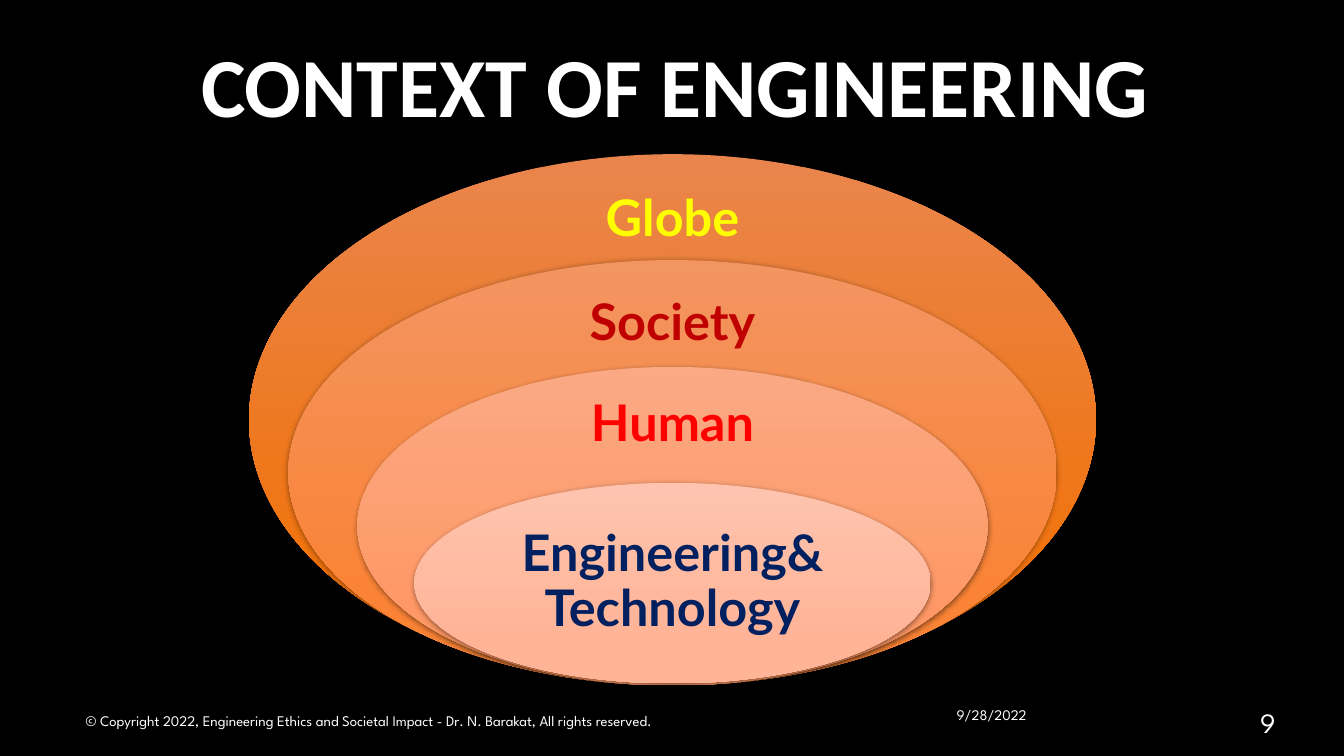
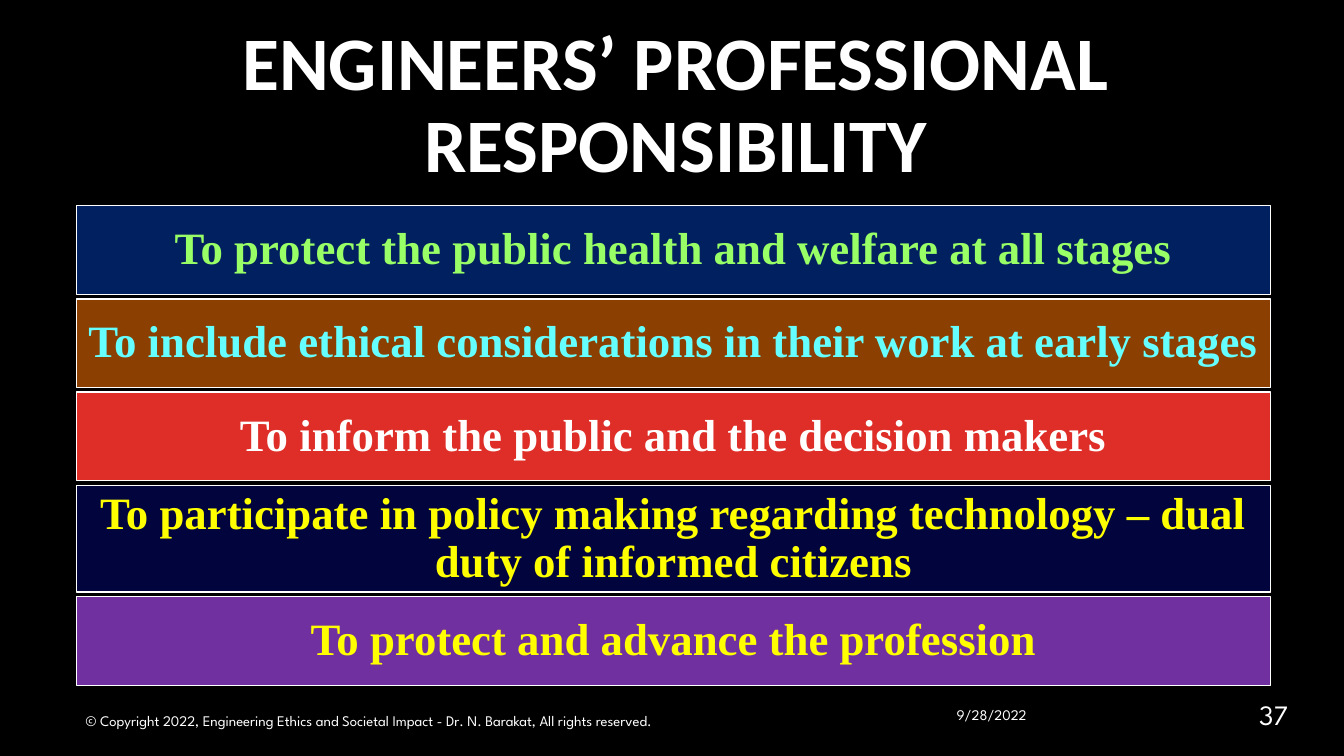
import pptx
import pptx.dml.color
import pptx.enum.shapes
import pptx.enum.text
import pptx.oxml
import pptx.oxml.ns
import pptx.util

PX = 9144  # EMU: 100 px to the inch
WHITE = "FFFFFF"
TITLE_FONT = "Calibri"
FOOTER_FONT = "League Spartan"
RING_FONT = "Lato"
BAR_FONT = "Times New Roman"
COPYRIGHT = ("© Copyright 2022, Engineering Ethics and Societal Impact"
             " - Dr. N. Barakat, All rights reserved.")
DATE = "9/28/2022"

SHAPES = pptx.enum.shapes.MSO_SHAPE
ALIGN = pptx.enum.text.PP_ALIGN
ANCHOR = pptx.enum.text.MSO_ANCHOR

# name, text colour, gradient top and bottom, ellipse (top, width, height),
# label (centre, width, height)
RINGS = [
    ("Globe", "FFFF00", "E9854C", "F1730D", (153, 840, 527), (218, 235, 79)),
    ("Society", "C00000", "F39561", "FA8336", (258, 762, 422), (322, 266, 76)),
    ("Human", "FF0000", "FAA984", "FF9865", (364, 625, 316), (422, 291, 71)),
    ("Engineering& Technology", "002060", "FEC4AF", "FFB497",
     (479, 512, 199), (578, 362, 100)),
]

# text, text colour, fill, height
BARS = [
    ("To protect the public health and welfare at all stages",
     "99FF66", "002060", 88),
    ("To include ethical considerations in their work at early stages",
     "66FFFF", "8B3F01", 88),
    ("To inform the public and the decision makers", WHITE, "DF2E28", 88),
    ("To participate in policy making regarding technology – dual duty of "
     "informed citizens", "FFFF00", "01043D", 106),
    ("To protect and advance the profession", "FFFF00", "7030A0", 88),
]


def px(*lengths):
    return [round(length * PX) for length in lengths]


def rgb(color):
    return pptx.dml.color.RGBColor.from_string(color)


def write(shape, text, font, size, color, bold=True, align=ALIGN.CENTER,
          anchor=ANCHOR.MIDDLE, insets=(10, 5), line_spacing=0.9):
    """Fill a shape with one styled paragraph; insets are (side, top and bottom)."""
    frame = shape.text_frame
    frame.word_wrap = True
    frame.vertical_anchor = anchor
    frame.margin_left = frame.margin_right = insets[0] * PX
    frame.margin_top = frame.margin_bottom = insets[1] * PX
    paragraph = frame.paragraphs[0]
    paragraph.text = text
    paragraph.alignment = align
    paragraph.line_spacing = line_spacing
    paragraph.font.name = font
    paragraph.font.size = pptx.util.Pt(size)
    paragraph.font.bold = bold
    paragraph.font.color.rgb = rgb(color)


def add_text(slide, box, text, font, size, color, **style):
    shape = slide.shapes.add_textbox(*px(*box))
    write(shape, text, font, size, color, **style)


def add_soft_shadow(shape):
    shape.shadow.inherit = False
    effects = shape._element.spPr.find(pptx.oxml.ns.qn("a:effectLst"))
    effects.append(pptx.oxml.parse_xml(
        f'<a:outerShdw {pptx.oxml.ns.nsdecls("a")} blurRad="57150" '
        'dist="19050" dir="5400000" algn="ctr" rotWithShape="0">'
        '<a:srgbClr val="000000"><a:alpha val="48000"/></a:srgbClr>'
        '</a:outerShdw>'))


def add_frame(presentation, title, title_box, title_size, number, number_box):
    """Add a slide with its title and footer."""
    slide = presentation.slides.add_slide(presentation.slide_layouts[6])
    add_text(slide, title_box, title, TITLE_FONT, title_size, WHITE)
    footers = [
        (COPYRIGHT, (75, 695, 850, 40), 10.5, ANCHOR.MIDDLE),
        (DATE, (939, 695, 111, 40), 10.5, ANCHOR.TOP),
        (number, number_box, 20, ANCHOR.TOP),
    ]
    for text, box, size, anchor in footers:
        add_text(slide, box, text, FOOTER_FONT, size, WHITE, bold=False,
                 align=ALIGN.LEFT, anchor=anchor, line_spacing=1.0)
    return slide


def add_rings(slide, center):
    """Stack nested ellipses, each with its label, around a vertical axis."""
    for name, color, light, dark, ellipse_size, label_size in RINGS:
        top, width, height = ellipse_size
        ellipse = slide.shapes.add_shape(
            SHAPES.OVAL, *px(center - width / 2, top, width, height))
        ellipse.fill.gradient()
        ellipse.fill.gradient_angle = 270
        stops = ellipse.fill.gradient_stops
        for stop, shade, position in zip(stops, (light, dark), (0, 0.78)):
            stop.color.rgb = rgb(shade)
            stop.position = position
        ellipse.line.fill.background()
        add_soft_shadow(ellipse)

        middle, width, height = label_size
        add_text(slide, (center - width / 2, middle - height / 2, width, height),
                 name, RING_FONT, 36, color, insets=(28, 28))


def add_bars(slide, left, top, width, height):
    """Stack the bars with equal gaps to fill the box."""
    gap = (height - sum(bar[-1] for bar in BARS)) / (len(BARS) - 1)
    for text, color, fill, bar_height in BARS:
        bar = slide.shapes.add_shape(
            SHAPES.RECTANGLE, *px(left, top, width, bar_height))
        bar.shadow.inherit = False
        bar.fill.solid()
        bar.fill.fore_color.rgb = rgb(fill)
        bar.line.color.rgb = rgb(WHITE)
        bar.line.width = pptx.util.Pt(1)
        write(bar, text, BAR_FONT, 32, color, insets=(9, 9))
        top += bar_height + gap


def main():
    presentation = pptx.Presentation()
    presentation.slide_width, presentation.slide_height = px(1333, 750)
    background = presentation.slide_master.background.fill
    background.solid()
    background.fore_color.rgb = rgb("000000")

    context = add_frame(presentation, "CONTEXT OF ENGINEERING",
                        (114, 19, 1111, 141), 60, "9", (1240, 695, 63, 40))
    add_rings(context, center=667)

    responsibility = add_frame(
        presentation, "ENGINEERS’ PROFESSIONAL RESPONSIBILITY",
        (44, 23, 1252, 167), 54, "37", (1239, 687, 56, 40))
    add_bars(responsibility, 76, 204, 1184, 476)

    presentation.save("out.pptx")


if __name__ == "__main__":
    main()
